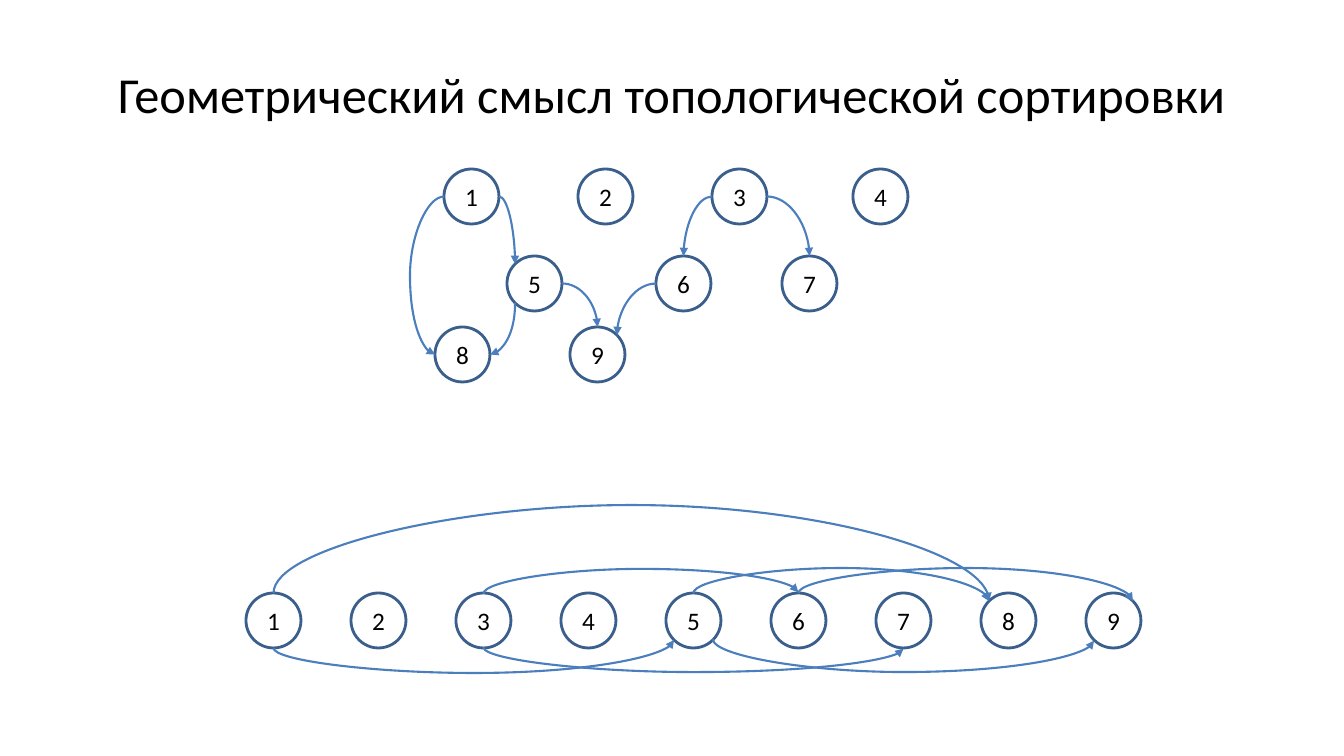
from math import sqrt
from lxml import etree
from pptx import Presentation
from pptx.dml.color import RGBColor
from pptx.enum.shapes import MSO_CONNECTOR, MSO_SHAPE
from pptx.enum.text import MSO_ANCHOR, PP_ALIGN
from pptx.oxml.ns import qn
from pptx.util import Emu, Pt

CURVE, OVAL = MSO_CONNECTOR.CURVE, MSO_SHAPE.OVAL
MIDDLE, CENTER = MSO_ANCHOR.MIDDLE, PP_ALIGN.CENTER
BLACK = RGBColor(0x00, 0x00, 0x00)
OUTLINE = RGBColor(0x3A, 0x5F, 0x8C)
ARROW = RGBColor(0x4B, 0x7E, 0xBC)

PX = 914400 / 100.8
D = 55      # node diameter
MIN = 1.4   # shortest side of a curve's frame

# Connection sites of an oval: index and direction from the centre
K = sqrt(0.5)
SITES = {"T": (0, 0, -1), "TL": (1, -K, -K), "L": (2, -1, 0), "BL": (3, -K, K),
         "B": (4, 0, 1), "BR": (5, K, K), "R": (6, 1, 0), "TR": (7, K, -K)}


def px(n):
    return Emu(round(n * PX))


def set_text(sp, text, size):
    tf = sp.text_frame
    tf.vertical_anchor = MIDDLE
    p = tf.paragraphs[0]
    p.text = text
    p.alignment = CENTER
    p.font.size = Pt(size)
    p.font.name = "Calibri"
    p.font.color.rgb = BLACK


prs = Presentation()
prs.slide_width, prs.slide_height = px(1344), px(756)
s = prs.slides.add_slide(prs.slide_layouts[6])

# Title
title = s.shapes.add_textbox(px(67), px(30), px(1210), px(126))
title.text_frame.word_wrap = True
set_text(title, "Геометрический смысл топологической сортировки", 36)

# Node positions: graph in levels, then the same nodes in one row
levels = [(444, 169), (578, 169), (712, 169), (853, 169),
          (507, 256), (656, 256), (782, 256), (435, 327), (570, 327)]
row = [(246 + 105 * i, 593) for i in range(9)]

# Edges: from, site, to, site, axis on which the curve leaves, turning coordinate
level_edges = [
    (3, "L", 6, "T", "x", None), (6, "L", 9, "TR", "x", None),
    (5, "R", 9, "T", "x", None), (5, "BL", 8, "R", "y", None),
    (1, "L", 8, "L", "x", 410), (1, "R", 5, "TL", "x", None),
    (3, "R", 7, "T", "x", None)]
row_edges = [
    (3, "T", 6, "T", "y", 568), (6, "T", 9, "TR", "y", 568),
    (5, "BR", 9, "BL", "y", 673), (5, "T", 8, "TL", "y", 568),
    (1, "T", 8, "TL", "y", 505), (1, "B", 5, "BL", "y", 673),
    (3, "B", 7, "B", "y", 673)]

for positions, edges in ((levels, level_edges), (row, row_edges)):
    # Nodes
    nodes = []
    for number, (x, y) in enumerate(positions, 1):
        sp = s.shapes.add_shape(OVAL, px(x), px(y), px(D), px(D))
        sp.shadow.inherit = False
        sp.fill.background()
        sp.line.color.rgb = OUTLINE
        sp.line.width = Pt(2)
        set_text(sp, str(number), 18)
        nodes.append(sp)

    # Curved arrows
    for start, site1, end, site2, axis, turn in edges:
        ends = []
        for node, site in ((start, site1), (end, site2)):
            x, y = positions[node - 1]
            idx, ux, uy = SITES[site]
            ends.append((x + D / 2 * (1 + ux), y + D / 2 * (1 + uy)))
        (x1, y1), (x2, y2) = ends
        dx, dy = x2 - x1, y2 - y1
        if abs(dy) < MIN:
            dy = MIN if turn > y1 else -MIN

        # Frame, rotation and flips that follow the leaving direction
        if axis == "x":
            w, h = abs(dx), abs(dy)
            rot, flips = (180, ["flipV"]) if dx < 0 else (0, [])
        else:
            w, h = abs(dy), abs(dx)
            if dx < 0:
                rot, flips = 90, []
            elif dy > 0:
                rot, flips = 270, ["flipH"]
            else:
                rot, flips = 90, ["flipH", "flipV"]
        left, top = (x1 + x2 - w) / 2, (y1 + y2 - h) / 2
        cx = s.shapes.add_connector(CURVE, px(left), px(top), px(left + w), px(top + h))
        cx.line.color.rgb = ARROW
        cx.line.width = Pt(1.5)
        spPr = cx._element.spPr
        xfrm = spPr.find(qn("a:xfrm"))
        xfrm.set("rot", str(rot * 60000))
        for flip in flips:
            xfrm.set(flip, "1")

        # One bend, or a turn at a given coordinate
        geom = spPr.find(qn("a:prstGeom"))
        if turn is None:
            geom.set("prst", "curvedConnector2")
        else:
            ratio = (turn - x1) / dx if axis == "x" else (turn - y1) / dy
            etree.SubElement(geom.find(qn("a:avLst")), qn("a:gd"),
                             name="adj1", fmla=f"val {round(ratio * 100000)}")

        # Arrowhead, no shadow, ends attached to the nodes
        etree.SubElement(cx.line._get_or_add_ln(), qn("a:tailEnd"), type="triangle")
        etree.SubElement(spPr, qn("a:effectLst"))
        links = cx._element.find(qn("p:nvCxnSpPr")).find(qn("p:cNvCxnSpPr"))
        for tag, node, site in (("a:stCxn", start, site1), ("a:endCxn", end, site2)):
            etree.SubElement(links, qn(tag), id=str(nodes[node - 1].shape_id),
                             idx=str(SITES[site][0]))

prs.save("out.pptx")
